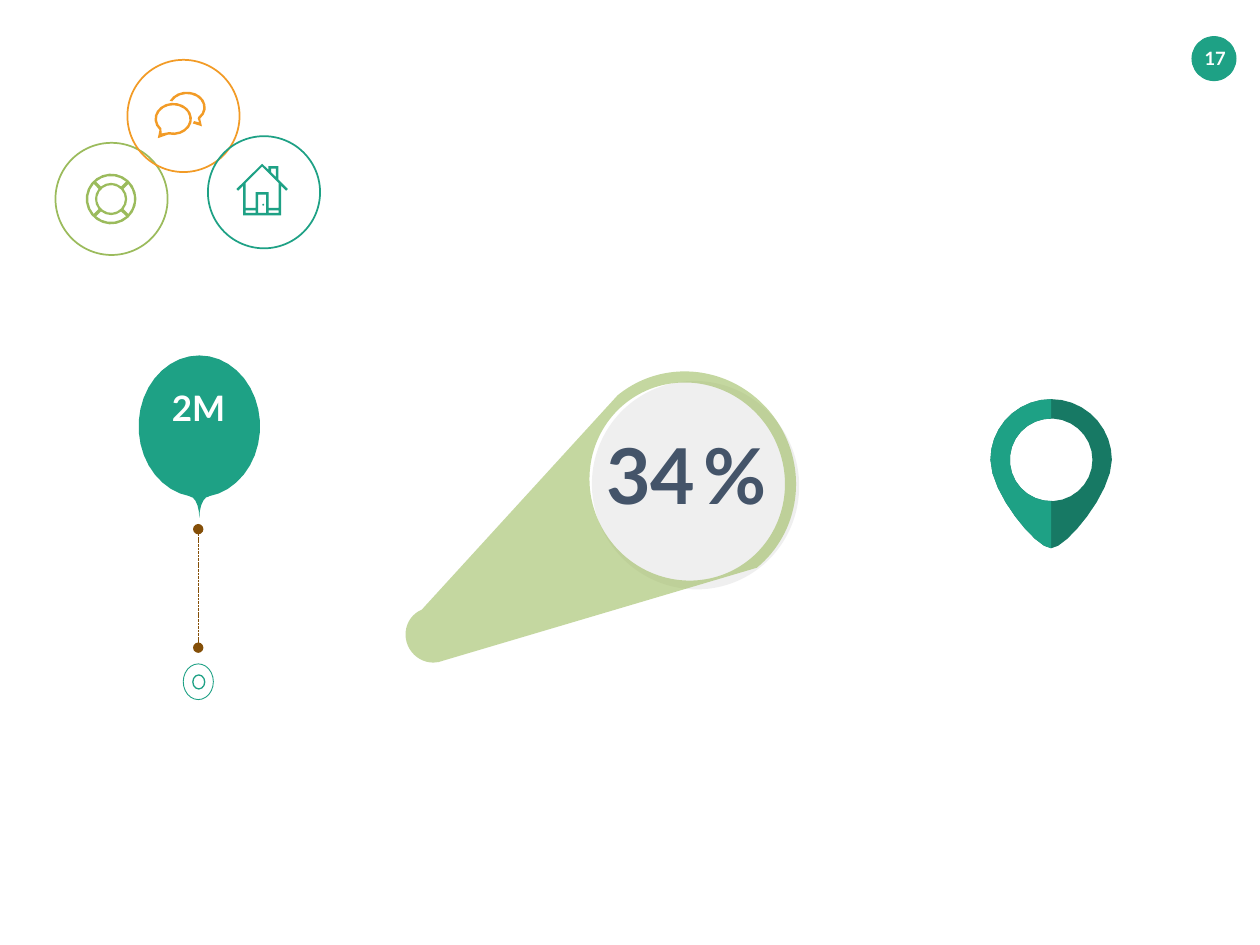
import math
import pptx
import pptx.dml.color
import pptx.enum.dml
import pptx.enum.shapes
import pptx.enum.text
import pptx.oxml
import pptx.oxml.ns
import pptx.util

Pt = pptx.util.Pt
RGB = pptx.dml.color.RGBColor.from_string
qn = pptx.oxml.ns.qn
KIND = pptx.enum.shapes.MSO_SHAPE
SIDE = pptx.enum.text.PP_ALIGN
SPACE = 'xmlns:a="http://schemas.openxmlformats.org/drawingml/2006/main"'

theme = {
    "font": "Lato",
    "teal": "1EA185", "dark": "177964", "green": "9BBB5C", "orange": "F29B26",
    "brown": "844F08", "slate": "445469", "grey": "D9D9D9", "white": "FFFFFF",
    "page": 10.5, "label": 20, "figure": 44,
}


def arc(x, y, rx, ry, start=0, end=360):
    """Points along an ellipse, degrees clockwise from the right; larger arcs get more."""
    steps = max(3, round(abs(end - start) / 60 * math.sqrt(max(rx, ry))))
    turns = [math.radians(start + (end - start) * i / steps) for i in range(steps + 1)]
    return [(x + rx * math.cos(t), y + ry * math.sin(t)) for t in turns]


def paint(shape, fill=None, line=None, width=1, alpha=None):
    """Give a shape its fill and line, without a shadow."""
    shape.shadow.inherit = False
    for part, color in ((shape.fill, fill), (shape.line.fill, line)):
        if color:
            part.solid()
            part.fore_color.rgb = RGB(theme[color])
        else:
            part.background()
    if line:
        shape.line.width = Pt(width)
    if alpha:
        tone = shape.element.spPr.find(qn("a:solidFill"))[0]
        tone.append(pptx.oxml.parse_xml(f'<a:alpha {SPACE} val="{alpha * 1000}"/>'))


deck = pptx.Presentation()
deck.slide_width, deck.slide_height = Pt(720), Pt(540)
slide = deck.slides.add_slide(deck.slide_layouts[6])
shapes = slide.shapes

# Preset shapes: kind, box, turn, look
ring = 64.1
presets = [
    # Page badge and footer cover
    (KIND.OVAL, (681.1, 20.9, 25.2, 25.2), 0, {"fill": "teal", "line": "teal", "width": 0.5}),
    (KIND.RECTANGLE, (256.3, 493.2, 208.8, 39.6), 0, {"fill": "white"}),
    # Icon rings
    (KIND.OVAL, (31.7, 81.6, ring, ring), 0, {"line": "green"}),
    (KIND.OVAL, (72.8, 34.2, ring, ring), 0, {"line": "orange"}),
    (KIND.OVAL, (118.8, 77.8, ring, ring), 0, {"line": "teal"}),
    # Target under the balloon
    (KIND.OVAL, (110.2, 385.7, 6.8, 8), 0, {"fill": "white", "line": "teal", "width": 0.75}),
    (KIND.OVAL, (104.7, 379.4, 17.2, 20.4), 0, {"line": "teal", "width": 0.5}),
    # Funnel and its lens
    (KIND.OVAL, (337.7, 218.2, 119.5, 118.1), 58.9, {"fill": "grey", "alpha": 40}),
    (KIND.FUNNEL, (276.5, 183.6, 126.7, 247), 58.9, {"fill": "green", "alpha": 58}),
]
for kind, box, turn, look in presets:
    shape = shapes.add_shape(kind, *map(Pt, box))
    shape.rotation = turn
    paint(shape, **look)

# Lifebuoy: a disc less its middle and four panels
hub = (63.5, 113.7)
buoy = [arc(*hub, 14.5, 14.5), arc(*hub, 7.9, 7.9)]
for mid in range(0, 360, 90):
    buoy.append(arc(*hub, 13.1, 13.1, mid - 41, mid + 41)
                + arc(*hub, 9.2, 9.2, mid + 39, mid - 39))

# House: outline less walls, chimney, base panels and door
house = [
    [(149.8, 93.6), (153.4, 97), (153.4, 95), (159.1, 95), (159.1, 102.6),
     (164.5, 108), (163.5, 109), (160.6, 106.1), (160.6, 123.1), (139, 123.1),
     (139, 106.1), (136.1, 109), (135.1, 108)],
    [(149.8, 95.2), (159.2, 104.6), (159.2, 118.8), (153.5, 118.8), (153.5, 109.8),
     (146.1, 109.8), (146.1, 118.8), (140.4, 118.8), (140.4, 104.6)],
    [(154.9, 96.4), (157.7, 96.4), (157.7, 101.2), (154.9, 98.4)],
    arc(150.4, 117, 0.6, 0.6),
]
for left, top, right in ((140.4, 120.2, 146.1), (147.5, 111.2, 152.1), (153.5, 120.2, 159.2)):
    house.append([(left, top), (right, top), (right, 121.7), (left, 121.7)])

# Speech bubbles
chat = [
    arc(99, 68, 10.7, 9.2, 137, 465) + [(90.2, 79)],
    arc(99, 68, 9.3, 7.8, 137, 465) + [(92.4, 76.3)],
    arc(106.8, 61.4, 10.8, 9, 205, 405)
    + [(115.4, 72.2), (110.2, 70.6), (110.9, 69.2), (113.8, 70), (113, 67.6)]
    + arc(106.8, 61.4, 9.4, 7.6, 405, 207),
]

# Balloon with a tapering neck
balloon = [arc(113.9, 243.6, 34.7, 40.5, 99, 441)
           + arc(119.4, 296, 5.5, 12.3, 270, 180) + arc(108.4, 296, 5.5, 12.3, 0, -90)]

# Map pin: a cubic side and a quarter circle, mirrored for the whole
axis, level, tip, wide = 600.7, 262.8, 313.3, 34.7
half = []
for i in range(8):
    t = i / 8
    u = 1 - t
    half.append((axis - wide * t ** 3 - 3 * wide * t * t * u - 26 * t * u * u,
                 tip * u ** 3 + 3 * tip * t * u * u + 844.5 * t * t * u + level * t ** 3))
half += arc(axis, level, wide, wide, 180, 270)
pin = [half + [(2 * axis - x, y) for x, y in reversed(half)], arc(axis, level, 23.6, 23.6)]
shade = [half + arc(axis, level, 23.6, 23.6, 270, 90)]

for loops, color in ((buoy, "green"), (house, "teal"), (chat, "orange"),
                     (balloon, "teal"), (pin, "dark"), (shade, "teal")):
    grid = [[(x * 100, y * 100) for x, y in loop] for loop in loops]
    build = shapes.build_freeform(*grid[0][0], scale=Pt(1) / 100)
    for i, loop in enumerate(grid):
        if i:
            build.move_to(*loop[0])
        build.add_line_segments(loop[1:], close=True)
    paint(build.convert_to_shape(), fill=color)

# Dashed string with round ends
cord = shapes.add_connector(pptx.enum.shapes.MSO_CONNECTOR.STRAIGHT,
                            Pt(113.3), Pt(370.1), Pt(113.3), Pt(302.4))
cord.line.color.rgb = RGB(theme["brown"])
cord.line.width = Pt(0.5)
cord.line.dash_style = pptx.enum.dml.MSO_LINE.SQUARE_DOT
props = cord.element.spPr
for end in ("headEnd", "tailEnd"):
    props.find(qn("a:ln")).append(pptx.oxml.parse_xml(f'<a:{end} {SPACE} type="oval"/>'))
props.append(pptx.oxml.parse_xml(f"<a:effectLst {SPACE}/>"))

# Texts: words, box, size, color, alignment, wrap, side and top insets
texts = [
    ("17", (679.7, 23.8, 29.5, 18), "page", "white", SIDE.CENTER, False, (5, 2.9)),
    ("2M", (92.2, 221, 42.5, 24.5), "label", "white", SIDE.CENTER, True, (0, 0)),
    ("34", (345.6, 244.1, 51.8, 53.3), "figure", "slate", SIDE.RIGHT, False, (0, 0)),
    ("%", (401.8, 244.1, 36, 53.3), "figure", "slate", SIDE.CENTER, False, (0, 0)),
]
for words, box, size, color, align, wrap, (inset, high) in texts:
    frame = shapes.add_textbox(*map(Pt, box)).text_frame
    layout = {"word_wrap": wrap, "margin_left": Pt(inset), "margin_right": Pt(inset),
              "margin_top": Pt(high), "margin_bottom": Pt(high),
              "auto_size": pptx.enum.text.MSO_AUTO_SIZE.SHAPE_TO_FIT_TEXT}
    for name, value in layout.items():
        setattr(frame, name, value)
    para = frame.paragraphs[0]
    para.alignment = align
    run = para.add_run()
    run.text = words
    for name, value in {"name": theme["font"], "size": Pt(theme[size]), "bold": True}.items():
        setattr(run.font, name, value)
    run.font.color.rgb = RGB(theme[color])

deck.save("out.pptx")
